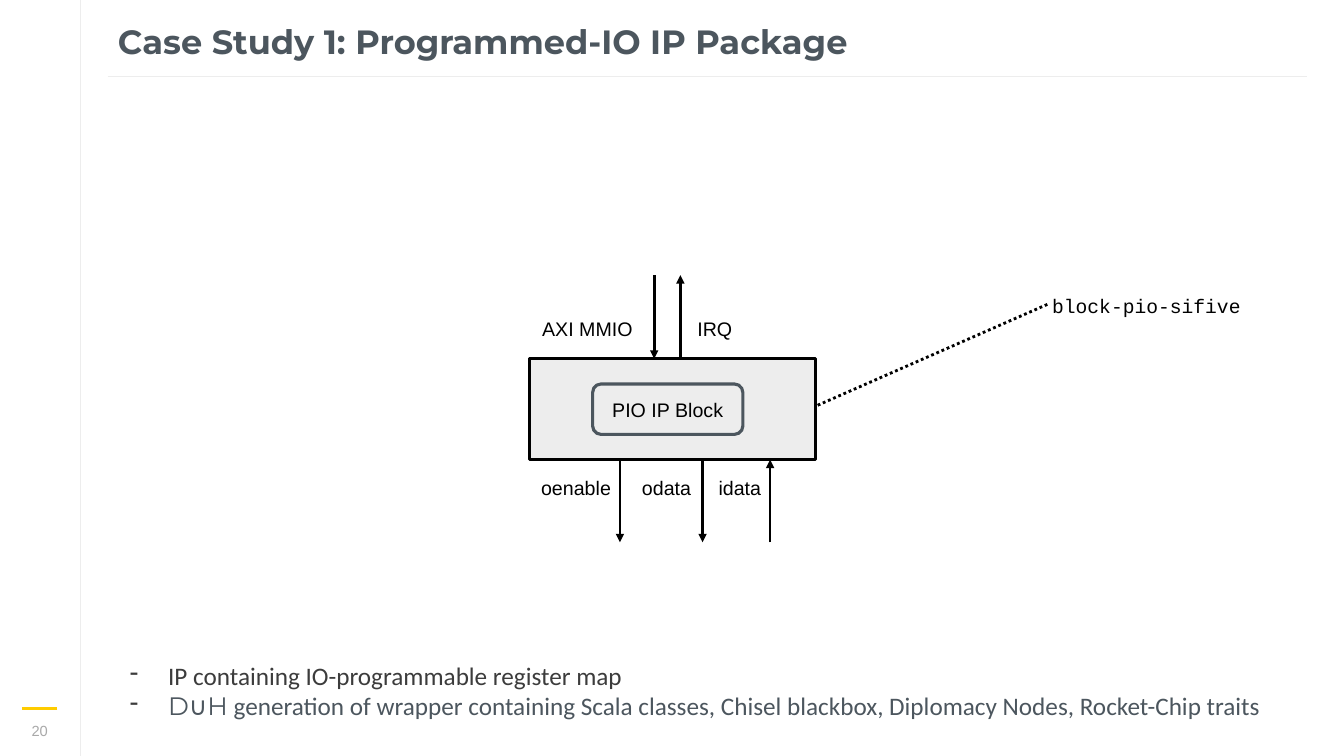
"""Build the slide on the programmed-IO IP package."""
from dataclasses import dataclass
from typing import NamedTuple

from lxml import etree
from pptx import Presentation
from pptx.dml.color import RGBColor
from pptx.enum.dml import MSO_LINE
from pptx.enum.shapes import MSO_CONNECTOR, MSO_SHAPE
from pptx.enum.text import MSO_ANCHOR, MSO_AUTO_SIZE, PP_ALIGN
from pptx.oxml.ns import qn
from pptx.util import Emu, Inches, Pt

LEFT, CENTER = PP_ALIGN.LEFT, PP_ALIGN.CENTER
TOP, MIDDLE = MSO_ANCHOR.TOP, MSO_ANCHOR.MIDDLE
NO_FIT = MSO_AUTO_SIZE.NONE
STRAIGHT = MSO_CONNECTOR.STRAIGHT
RECT, ROUND = MSO_SHAPE.RECTANGLE, MSO_SHAPE.ROUNDED_RECTANGLE
DOTS = MSO_LINE.ROUND_DOT

WIDTH, HEIGHT = Inches(13.33), Inches(7.5)
COLS, ROWS = 160, 90


class Style(NamedTuple):
    """Font, size, colour and weight of a run."""
    font: str
    size: float
    color: str
    bold: bool = False


@dataclass(frozen=True)
class Theme:
    """Colours and type styles of the slide."""
    black: str = "000000"
    slate: str = "4C565E"
    pale: str = "EDEDED"
    gold: str = "FFCC00"
    ink: str = "3C3C3C"
    title: Style = Style("Montserrat", 24, "4C565E", True)
    label: Style = Style("Arial", 14, "000000")
    code: Style = Style("Courier New", 14, "000000")
    folio: Style = Style("Arial", 10.5, "A9A9A9")
    body: Style = Style("Calibri", 18, "3C3C3C")
    note: Style = Style("Calibri", 18, "4C565E")
    mark: Style = Style("Montserrat", 18, "4C565E")


THEME = Theme()


class Box(NamedTuple):
    """Place and size in grid columns and rows."""
    x: float
    y: float
    w: float
    h: float


class Wire(NamedTuple):
    """A line between two grid points."""
    x1: float
    y1: float
    x2: float
    y2: float
    color: str = THEME.black
    width: float = 2
    arrow: bool = False
    dots: bool = False


class Label(NamedTuple):
    """A short text in a box."""
    text: str
    box: Box
    style: Style = THEME.label


BLOCK = Box(63, 42.72, 34.08, 12)
BASE = BLOCK.y + BLOCK.h
HIGH, LOW = 32.76, 64.56
UPPER, LOWER, TALL = 37.1, 56.04, 4.08

RULES = [
    Wire(12.84, 9.12, 155.64, 9.12, THEME.pale, 1),
    Wire(9.6, 0, 9.6, ROWS, THEME.pale, 1),
    Wire(6.84, 84.36, 2.64, 84.36, THEME.gold),
]
WIRES = [
    Wire(77.88, HIGH, 77.88, BLOCK.y, arrow=True),
    Wire(81, BLOCK.y, 81, HIGH, arrow=True),
    Wire(73.8, BASE, 73.8, LOW, arrow=True),
    Wire(83.64, BASE, 83.64, LOW, arrow=True),
    Wire(91.68, LOW, 91.68, BASE, arrow=True),
    Wire(124.68, 36.24, 97.08, 48.36, dots=True),
]
LABELS = [
    Label("AXI MMIO", Box(63.36, UPPER, 13.68, TALL)),
    Label("IRQ", Box(81.84, UPPER, 13.68, TALL)),
    Label("oenable", Box(63.24, LOWER, 11.88, TALL)),
    Label("odata", Box(75.24, LOWER, 8.52, TALL)),
    Label("idata", Box(84.36, LOWER, 8.52, TALL)),
    Label("block-pio-sifive", Box(124.08, 34.44, 24.96, TALL), THEME.code),
]
POINTS = [
    [("IP containing IO-programmable register map", THEME.body)],
    [("D∪H", THEME.mark),
     (" generation of wrapper containing Scala classes, Chisel blackbox, "
      "Diplomacy Nodes, Rocket-Chip traits", THEME.note)],
]


def col(n: float) -> Emu:
    """Return the length of n grid columns."""
    return Emu(round(WIDTH * n / COLS))


def row(n: float) -> Emu:
    """Return the length of n grid rows."""
    return Emu(round(HEIGHT * n / ROWS))


def span(box: Box) -> tuple[Emu, Emu, Emu, Emu]:
    """Turn a grid box into slide lengths."""
    return col(box.x), row(box.y), col(box.w), row(box.h)


def dress(run, style: Style) -> None:
    """Give a run its type style."""
    font = run.font
    font.name, font.size, font.bold = style.font, Pt(style.size), style.bold
    font.color.rgb = RGBColor.from_string(style.color)


def frame(shape, side: float, edge: float, anchor=TOP):
    """Set the insets and anchor of a shape's text and return its frame."""
    text = shape.text_frame
    text.word_wrap, text.auto_size = True, NO_FIT
    text.vertical_anchor = anchor
    text.margin_left = text.margin_right = Inches(side)
    text.margin_top = text.margin_bottom = Inches(edge)
    return text


def write(shape, words: str, style: Style, side: float, edge: float,
          anchor=TOP, align=LEFT) -> None:
    """Put one styled line of text in a shape."""
    text = frame(shape, side, edge, anchor)
    text.text = words
    line = text.paragraphs[0]
    line.alignment = align
    dress(line.runs[0], style)


def draw_wire(slide, wire: Wire) -> None:
    """Draw a line with its dots or arrowhead."""
    link = slide.shapes.add_connector(
        STRAIGHT, col(wire.x1), row(wire.y1), col(wire.x2), row(wire.y2))
    link.line.width = Pt(wire.width)
    link.line.color.rgb = RGBColor.from_string(wire.color)
    if wire.dots:
        link.line.dash_style = DOTS
    props = link._element.spPr
    if wire.arrow:
        etree.SubElement(props.find(qn("a:ln")), qn("a:tailEnd"),
                         type="triangle")
    etree.SubElement(props, qn("a:effectLst"))


def draw_block(slide, kind, box: Box, edge: str, width: float):
    """Draw an outlined shape without fill."""
    shape = slide.shapes.add_shape(kind, *span(box))
    shape.shadow.inherit = False
    shape.fill.background()
    shape.line.width = Pt(width)
    shape.line.color.rgb = RGBColor.from_string(edge)
    return shape


def draw_label(slide, label: Label) -> None:
    """Draw a text label."""
    shape = slide.shapes.add_textbox(*span(label.box))
    write(shape, label.text, label.style, 0.1, 0.05)


def draw_points(slide, box: Box) -> None:
    """Draw the dashed list."""
    text = frame(slide.shapes.add_textbox(*span(box)), 0.1, 0.1)
    for i, parts in enumerate(POINTS):
        line = text.add_paragraph() if i else text.paragraphs[0]
        props = line._p.get_or_add_pPr()
        props.set("marL", str(Inches(0.5)))
        props.set("indent", str(Inches(-0.38)))
        tint = etree.SubElement(props, qn("a:buClr"))
        etree.SubElement(tint, qn("a:srgbClr"), val=THEME.ink)
        etree.SubElement(props, qn("a:buChar"), char="-")
        for words, style in parts:
            run = line.add_run()
            run.text = words
            dress(run, style)


def main() -> None:
    """Build and save the slide."""
    deck = Presentation()
    deck.slide_width, deck.slide_height = WIDTH, HEIGHT
    slide = deck.slides.add_slide(deck.slide_layouts[5])
    for rule in RULES:
        draw_wire(slide, rule)
    folio = slide.shapes.add_textbox(*span(Box(2.16, 85.92, 5.16, 2.16)))
    write(folio, "20", THEME.folio, 0, 0, align=CENTER)
    title = slide.shapes.title
    title.left, title.top, title.width, title.height = span(
        Box(12.84, 2.52, 142.92, 4.8))
    write(title, "Case Study 1: Programmed-IO IP Package", THEME.title,
          0.1, 0.1, MIDDLE)
    block = draw_block(slide, RECT, BLOCK, THEME.black, 2)
    block.fill.solid()
    block.fill.fore_color.rgb = RGBColor.from_string(THEME.pale)
    for wire in WIRES:
        draw_wire(slide, wire)
    for label in LABELS:
        draw_label(slide, label)
    core = draw_block(slide, ROUND, Box(70.56, 45.72, 17.88, 6),
                      THEME.slate, 2.25)
    write(core, "PIO IP Block", THEME.label, 0.1, 0.1, MIDDLE, CENTER)
    draw_points(slide, Box(12.84, 77.4, 142.8, 10.32))
    deck.save("out.pptx")


if __name__ == "__main__":
    main()
